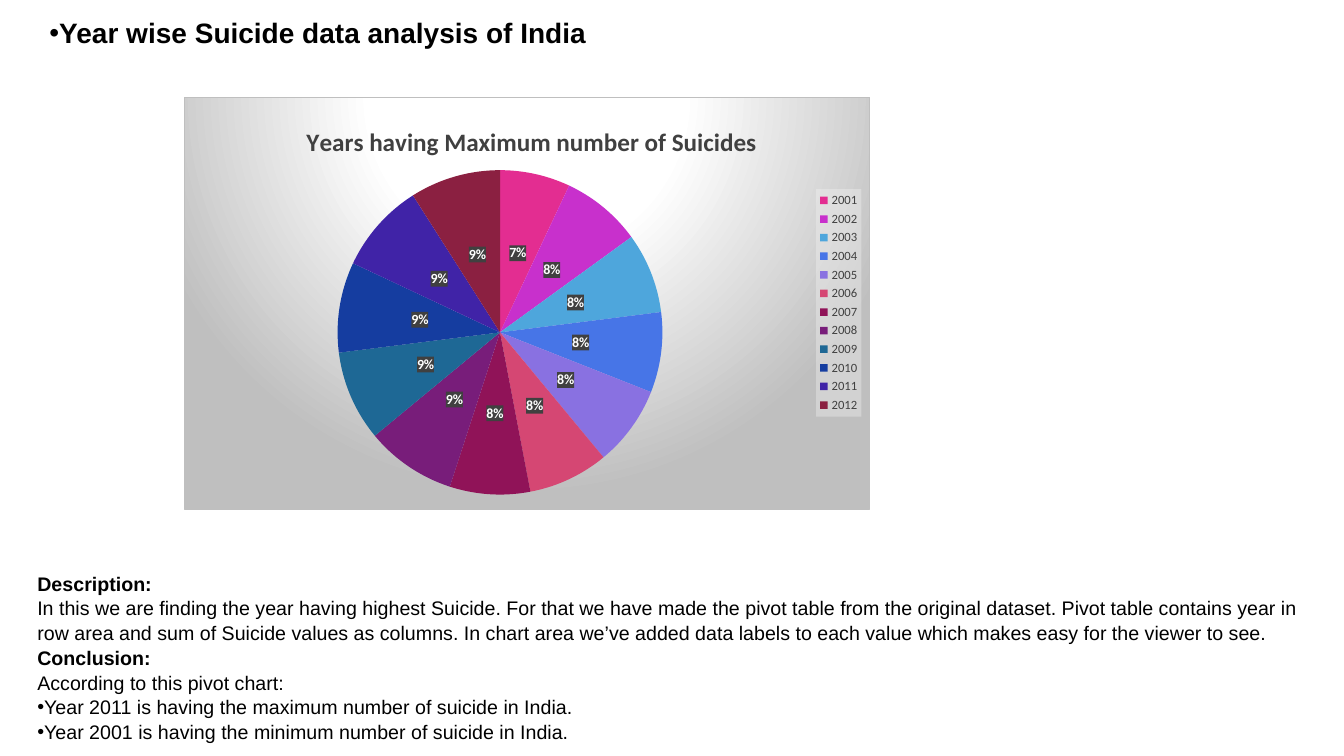
from lxml.etree import fromstring
from pptx import Presentation
from pptx.chart.data import CategoryChartData
from pptx.dml.color import RGBColor
from pptx.enum.chart import XL_CHART_TYPE as ChartType
from pptx.enum.chart import XL_LABEL_POSITION as LabelPosition
from pptx.enum.chart import XL_LEGEND_POSITION as LegendPosition
from pptx.enum.text import MSO_ANCHOR, MSO_AUTO_SIZE, PP_ALIGN
from pptx.oxml.ns import nsdecls, qn
from pptx.util import Inches, Pt

# Content
HEADING = "Year wise Suicide data analysis of India"
# (text, style)
NOTES = [
    ("Description:", "bold"),
    ("In this we are finding the year having highest Suicide. For that we have made the pivot table "
     "from the original dataset. Pivot table contains year in row area and sum of Suicide values as "
     "columns. In chart area we’ve added data labels to each value which makes easy for the viewer "
     "to see.", "plain"),
    ("Conclusion:", "bold"),
    ("According to this pivot chart:", "plain"),
    ("Year 2011 is having the maximum number of suicide in India.", "bullet"),
    ("Year 2001 is having the minimum number of suicide in India.", "bullet"),
]
CHART_TITLE = "Years having Maximum number of Suicides"
# year: (share, slice colour)
YEARS = {
    "2001": (7, "E32D91"), "2002": (8, "C830CC"), "2003": (8, "4EA6DC"),
    "2004": (8, "4775E7"), "2005": (8, "8971E1"), "2006": (8, "D54773"),
    "2007": (8, "901358"), "2008": (9, "781D7A"), "2009": (9, "1E6895"),
    "2010": (9, "153DA0"), "2011": (9, "4023A7"), "2012": (9, "8B2041"),
}
COLORS = {"text": "000000", "chart text": "404040", "label": "FFFFFF", "glow": "FFFFFF",
          "edge": "BFBFBF", "legend": "F2F2F2", "label box": "404040"}

# Places: left, top, width, height in inches
HEADING_BOX = (0.24, 0.06, 5.71, 0.8)
NOTES_BOX = (0.3, 5.61, 12.79, 1.7)
CHART_BOX = (1.82, 0.96, 6.81, 4.1)
# Shares of the chart's size
PIE_AREA = dict(x=0.224, y=0.177, w=0.474, h=0.787)
LEGEND_AREA = dict(x=0.922, y=0.223, w=0.066, h=0.552)
TITLE_AREA = dict(x=0.172, y=0.055)


def style_font(font, face, size, color, bold=False):
    font.name, font.size, font.bold = face, Pt(size), bold
    font.color.rgb = RGBColor.from_string(COLORS[color])


def place(holder, box, insets):
    holder.left, holder.top, holder.width, holder.height = map(Inches, box)
    frame = holder.text_frame
    frame.auto_size, frame.word_wrap = MSO_AUTO_SIZE.NONE, True
    frame.vertical_anchor = MSO_ANCHOR.TOP
    (frame.margin_left, frame.margin_top,
     frame.margin_right, frame.margin_bottom) = map(Inches, insets)
    return frame


def write(paragraph, text, size, bold, bullet):
    paragraph.text = text
    paragraph.alignment = PP_ALIGN.LEFT
    paragraph.line_spacing = 1.05
    paragraph.space_before = paragraph.space_after = Pt(0)
    style_font(paragraph.runs[0].font, "Arial", size, "text", bold)
    props = paragraph.runs[0].font._element.getparent().getparent().get_or_add_pPr()
    props.set("marL", "0")
    props.set("indent", "0")
    marks = ('<a:buFont {0} typeface="Arial"/>', '<a:buChar {0} char="•"/>') if bullet else ("<a:buNone {0}/>",)
    for mark in marks:
        props.append(fromstring(mark.format(nsdecls("a"))))


def layout(mode="", **shares):
    target = '<c:layoutTarget val="inner"/>' if mode else ""
    modes = '<c:xMode val="edge"/><c:yMode val="edge"/>'
    sizes = "".join(f'<c:{side} val="{share}"/>' for side, share in shares.items())
    return fromstring(f'<c:layout {nsdecls("c")}><c:manualLayout>{target}{modes}{sizes}'
                      '</c:manualLayout></c:layout>')


def clear_layout(element):
    for old in element.findall(qn("c:layout")):
        element.remove(old)


def backdrop(fill, line="<a:ln><a:noFill/></a:ln>"):
    return fromstring(f'<c:spPr {nsdecls("c", "a")}>{fill}{line}</c:spPr>')


def veil(color, alpha):
    return (f'<a:solidFill><a:srgbClr val="{COLORS[color]}"><a:alpha val="{alpha * 1000}"/>'
            '</a:srgbClr></a:solidFill>')


deck = Presentation()
deck.slide_width, deck.slide_height = Inches(13.33), Inches(7.5)
slide = deck.slides.add_slide(deck.slide_layouts[1])

# Heading and notes
heading = place(slide.shapes.title, HEADING_BOX, (0.25, 0.08, 0.1, 0))
write(heading.paragraphs[0], HEADING, 20, True, True)
notes = place(slide.placeholders[1], NOTES_BOX, (0.07, 0.05, 0.1, 0))
for index, (text, style) in enumerate(NOTES):
    paragraph = notes.add_paragraph() if index else notes.paragraphs[0]
    write(paragraph, text, 14, style == "bold", style == "bullet")

# Pie of years
shares = CategoryChartData()
shares.categories = list(YEARS)
shares.add_series("Series 1", [share for share, _ in YEARS.values()])
chart = slide.shapes.add_chart(ChartType.PIE, *map(Inches, CHART_BOX), shares).chart
style_font(chart.font, "Calibri", 10, "text")
pie = chart.plots[0]
pie.vary_by_categories = True
for index, (_, color) in enumerate(YEARS.values()):
    wedge = pie.series[0].points[index].format
    wedge.fill.solid()
    wedge.fill.fore_color.rgb = RGBColor.from_string(color)
    wedge.line.fill.background()

# Percent labels
pie.has_data_labels = True
labels = pie.data_labels
labels.show_percentage, labels.show_value = True, False
labels.number_format, labels.number_format_is_linked = "0%", False
labels.position = LabelPosition.CENTER
style_font(labels.font, "Calibri", 10, "label", True)
labels._element.find(qn("c:txPr")).addprevious(backdrop(veil("label box", 90)))

# Chart title
chart.has_title = True
title = chart.chart_title
title.text_frame.text = CHART_TITLE
style_font(title.text_frame.paragraphs[0].runs[0].font, "Calibri", 18, "chart text", True)
clear_layout(title._element)
title._element.find(qn("c:tx")).addnext(layout(**TITLE_AREA))

# Legend
chart.has_legend = True
legend = chart.legend
legend.position, legend.include_in_layout = LegendPosition.RIGHT, False
style_font(legend.font, "Calibri", 9, "chart text")
clear_layout(legend._element)
legend._element.find(qn("c:legendPos")).addnext(layout(**LEGEND_AREA))
legend._element.find(qn("c:txPr")).addprevious(backdrop(veil("legend", 39)))

# Plot area and glowing backdrop
space = chart._chartSpace
plot_area = space.find(qn("c:chart")).find(qn("c:plotArea"))
clear_layout(plot_area)
plot_area.insert(0, layout("inner", **PIE_AREA))
stops = "".join(f'<a:gs pos="{pos * 1000}"><a:srgbClr val="{COLORS[color]}"/></a:gs>'
                for pos, color in ((0, "glow"), (39, "glow"), (100, "edge")))
glow = (f'<a:gradFill><a:gsLst>{stops}</a:gsLst><a:path path="circle">'
        '<a:fillToRect l="50000" t="-80000" r="50000" b="180000"/></a:path></a:gradFill>')
border = f'<a:ln w="{Pt(0.75)}"><a:solidFill><a:srgbClr val="{COLORS["edge"]}"/></a:solidFill></a:ln>'
space.find(qn("c:txPr")).addprevious(backdrop(glow, border))

deck.save("out.pptx")
